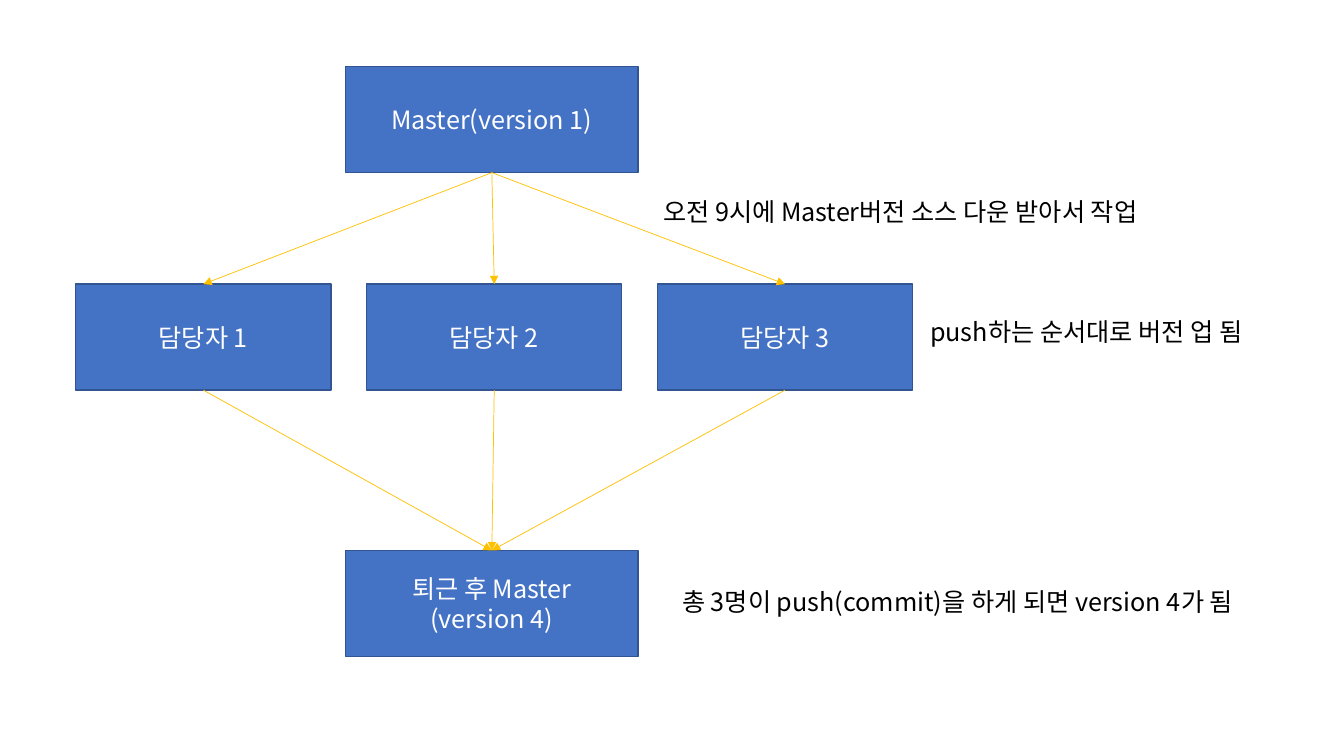
from dataclasses import dataclass

from lxml.etree import SubElement
from pptx import Presentation
from pptx.dml.color import RGBColor
from pptx.enum.shapes import MSO_CONNECTOR, MSO_SHAPE
from pptx.enum.text import MSO_ANCHOR, MSO_AUTO_SIZE, PP_ALIGN
from pptx.oxml.ns import qn
from pptx.shapes.autoshape import Shape
from pptx.slide import Slide
from pptx.text.text import TextFrame
from pptx.util import Cm, Pt

BLUE = RGBColor(0x44, 0x72, 0xC4)
NAVY = RGBColor(0x32, 0x54, 0x91)
GOLD = RGBColor(0xFF, 0xC0, 0x00)
WHITE = RGBColor(0xFF, 0xFF, 0xFF)
BLACK = RGBColor(0x00, 0x00, 0x00)
FONT = "Noto Sans CJK KR"
TOP, BOTTOM = 0, 2  # connection sites of a rectangle


@dataclass
class Block:
    """A box or a note; lengths in centimetres."""
    lines: list[str]
    left: float
    top: float
    width: float
    height: float = 2.67


MASTER = Block(["Master(version 1)"], 8.71, 1.68, 7.37)
WORKERS = [Block([f"담당자 {i + 1}"], 1.91 + 7.33 * i, 7.16, 6.43) for i in range(3)]
FINAL = Block(["퇴근 후 Master", "(version 4)"], 8.71, 13.87, 7.37)
NOTES = [
    Block(["오전 9시에 Master버전 소스 다운 받아서 작업"], 16.46, 4.83, 13.84, 1.02),
    Block(["push하는 순서대로 버전 업 됨"], 23.19, 7.85, 9.22, 1.02),
    Block(["총 3명이 push(commit)을 하게 되면 version 4가 됨"], 16.94, 14.66, 15.27, 1.02),
]


def place(b: Block) -> tuple[Cm, Cm, Cm, Cm]:
    return Cm(b.left), Cm(b.top), Cm(b.width), Cm(b.height)


def write(tf: TextFrame, lines: list[str], color: RGBColor, align: PP_ALIGN) -> None:
    tf.word_wrap = True
    for i, line in enumerate(lines):
        p = tf.add_paragraph() if i else tf.paragraphs[0]
        p.alignment = align
        r = p.add_run()
        r.text = line
        r.font.size = Pt(18)
        r.font.name = FONT
        r.font.color.rgb = color
        SubElement(r.font._element, qn("a:ea"), typeface=FONT)


def add_box(s: Slide, b: Block) -> Shape:
    sp = s.shapes.add_shape(MSO_SHAPE.RECTANGLE, *place(b))
    sp.shadow.inherit = False
    sp.fill.solid()
    sp.fill.fore_color.rgb = BLUE
    sp.line.color.rgb = NAVY
    sp.line.width = Pt(1)
    sp.text_frame.vertical_anchor = MSO_ANCHOR.MIDDLE
    write(sp.text_frame, b.lines, WHITE, PP_ALIGN.CENTER)
    return sp


def add_arrow(s: Slide, start: Shape, end: Shape) -> None:
    c = s.shapes.add_connector(MSO_CONNECTOR.STRAIGHT, 0, 0, 0, 0)
    c.begin_connect(start, BOTTOM)
    c.end_connect(end, TOP)
    c.line.color.rgb = GOLD
    c.line.width = Pt(0.5)
    SubElement(c.line._get_or_add_ln(), qn("a:tailEnd"), type="triangle")
    SubElement(c._element.spPr, qn("a:effectLst"))


def add_note(s: Slide, b: Block) -> None:
    tf = s.shapes.add_textbox(*place(b)).text_frame
    tf.auto_size = MSO_AUTO_SIZE.SHAPE_TO_FIT_TEXT
    write(tf, b.lines, BLACK, PP_ALIGN.LEFT)


def main() -> None:
    prs = Presentation()
    prs.slide_width, prs.slide_height = Cm(33.87), Cm(19.05)
    s = prs.slides.add_slide(prs.slide_layouts[6])

    # Boxes
    master = add_box(s, MASTER)
    workers = [add_box(s, b) for b in WORKERS]
    final = add_box(s, FINAL)

    # Arrows: out to each worker, then back together
    for worker in workers:
        add_arrow(s, master, worker)
        add_arrow(s, worker, final)

    # Notes
    for note in NOTES:
        add_note(s, note)

    prs.save("out.pptx")


if __name__ == "__main__":
    main()
